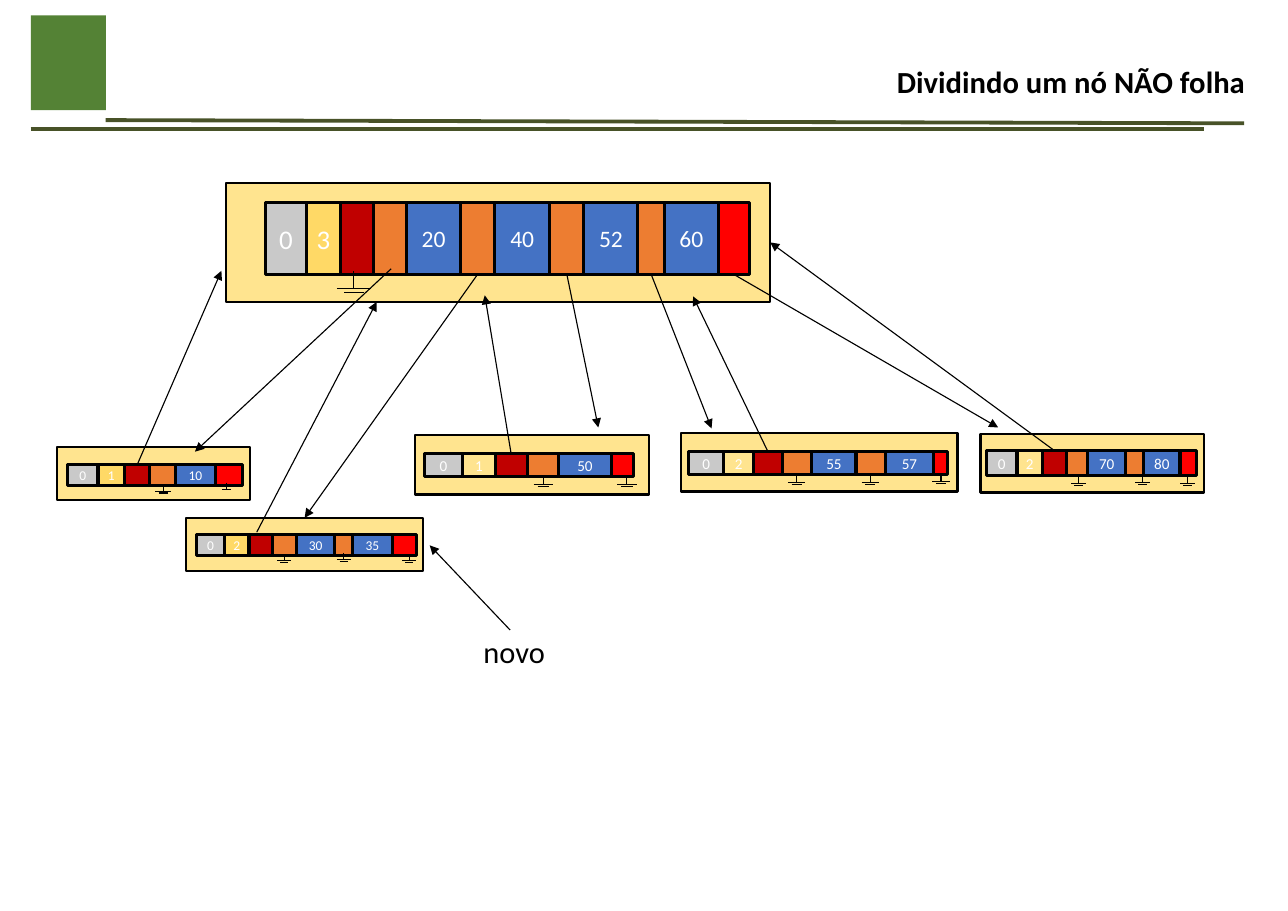
from lxml import etree
from pptx import Presentation
from pptx import util as u
from pptx.dml import color
from pptx.enum import shapes, text
from pptx.oxml import ns

FILLS = {"g": "C9C9C9", "y": "FFD966", "c": "FFE48F", "p": "C00000",
         "o": "ED7D31", "b": "4472C4", "r": "FF0000"}
LABELED = "gycb"


def rgb(code):
    return color.RGBColor.from_string(code)


def apply(item, values):
    for name, value in values.items():
        setattr(item, name, value)


class Slide:
    font = "Calibri"
    ink = "000000"

    def __init__(self, deck):
        self.page = deck.slides.add_slide(deck.slide_layouts[6])

    def letter(self, shape, words, size, tint, align, bold=False, inset=(0, 0),
               wrap=False, space=1.0):
        frame = shape.text_frame
        side, edge = (u.Pt(n) for n in inset)
        apply(frame, {"word_wrap": wrap, "vertical_anchor": text.MSO_ANCHOR.MIDDLE,
                      "margin_left": side, "margin_right": side,
                      "margin_top": edge, "margin_bottom": edge})
        para = frame.paragraphs[0]
        apply(para, {"alignment": align, "line_spacing": space})
        run = para.add_run()
        run.text = words
        apply(run.font, {"name": self.font, "size": u.Pt(size), "bold": bold})
        run.font.color.rgb = rgb(tint)

    def rect(self, box, fill, width=None):
        shape = self.page.shapes.add_shape(
            shapes.MSO_SHAPE.RECTANGLE, *(u.Pt(n) for n in box))
        shape.shadow.inherit = False
        shape.fill.solid()
        shape.fill.fore_color.rgb = rgb(fill)
        if width:
            shape.line.color.rgb = rgb(self.ink)
            shape.line.width = u.Pt(width)
        else:
            shape.line.fill.background()
        return shape

    def label(self, box, words, size, align, **style):
        shape = self.page.shapes.add_textbox(*(u.Pt(n) for n in box))
        self.letter(shape, words, size, self.ink, align, **style)

    def line(self, start, end, width=0.75, tint=ink):
        link = self.page.shapes.add_connector(
            shapes.MSO_CONNECTOR.STRAIGHT, *(u.Pt(n) for n in (*start, *end)))
        link.line.color.rgb = rgb(tint)
        link.line.width = u.Pt(width)
        etree.SubElement(link._element.spPr, ns.qn("a:effectLst"))
        return link

    def arrow(self, start, end, tail=None, head=None):
        """tail and head are (shape, side) pairs to join."""
        link = self.line(start, end)
        if tail:
            link.begin_connect(*tail)
        if head:
            link.end_connect(*head)
        outline = link._element.spPr.find(ns.qn("a:ln"))
        tip = etree.SubElement(outline, ns.qn("a:tailEnd"))
        tip.set("type", "triangle")

    def ground(self, x, y, stem, wide, bars=(1, 0.58)):
        self.line((x, y), (x, y + stem))
        for step, part in enumerate(bars):
            level = y + stem * (1 + 0.27 * step)
            half = wide * part / 2
            self.line((x - half, level), (x + half, level))

    def node(self, box, row, kinds, edges, values, sizes):
        """Frame and its cells, each cell spanning two adjacent edges."""
        frame = self.rect(box, "FFE48F", 1.5)
        top, height = row
        words = iter(values)
        cells = []
        for kind, left, right in zip(kinds, edges, edges[1:]):
            cell = self.rect((left, top, right - left, height), FILLS[kind], 2)
            if kind in LABELED:
                size = sizes[kind == "b"]
                self.letter(cell, next(words), size, "FFFFFF", text.PP_ALIGN.CENTER)
            cells.append(cell)
        return frame, cells


def main():
    deck = Presentation()
    deck.slide_width, deck.slide_height = u.Pt(841.7), u.Pt(595.4)
    s = Slide(deck)

    # Header: plain block, rules and title
    s.rect((20.2, 10, 49, 62), "548235")
    s.line((69, 78.5), (813, 80.6), 2.5, "485228")
    s.line((20, 84.2), (787, 84.2), 2.5, "485228")
    s.label((435.6, 35.3, 386, 38.9), "Dividindo um nó NÃO folha", 20,
            text.PP_ALIGN.RIGHT, bold=True, inset=(7.9, 4.3), wrap=True, space=0.9)

    # Tree nodes
    root, top = s.node(
        (147.6, 119.5, 355.7, 77.8), (132.5, 46.8), "gypobobobobr",
        (173.5, 200.2, 222.5, 244, 265.7, 301, 323.3, 359.3, 381.6, 416.9,
         434.2, 469.4, 489.6),
        ("0", "3", "20", "40", "52", "60"), (17.6, 15.4))
    _, ten = s.node(
        (37.4, 292.3, 126, 34.6), (303.8, 13.7), "gypobr",
        (43.9, 64.1, 81.4, 97.9, 114.5, 141.1, 158.4),
        ("0", "1", "10"), (8.8, 8.8))
    fresh, _ = s.node(
        (121.7, 338.4, 154.8, 34.6), (349.2, 13.7), "gypobobr",
        (128.2, 146.9, 162.7, 177.8, 193.7, 218.9, 230.4, 256.3, 272.2),
        ("0", "2", "30", "35"), (8.8, 8.8))
    _, fifty = s.node(
        (271.4, 284.4, 152.6, 38.9), (296.6, 15.1), "gcpobr",
        (277.2, 302.4, 323.6, 344.5, 365, 399.6, 414),
        ("0", "1", "50"), (9.9, 9.9))
    _, mid = s.node(
        (445, 283, 180.7, 38.2), (295.2, 15.1), "gcpobobr",
        (450, 473, 492.5, 511.2, 530.6, 559.4, 578.9, 609.8, 619.2),
        ("0", "2", "55", "57"), (9.9, 9.9))
    _, last = s.node(
        (640.8, 283.7, 146.2, 38.2), (294.5, 16.6), "gcpobobr",
        (644.4, 664.6, 681.1, 697, 710.6, 735.8, 747.4, 771.1, 781.9),
        ("0", "2", "70", "80"), (9.9, 9.9))

    # Null pointers
    for stem, wide, spots in (
            (11.2, 22.3, ((231.3, 177.1),)),
            (4.3, 10, ((106.6, 316.8),)),
            (4.3, 9, ((185.8, 362.2), (224.6, 361.4), (267.5, 362.2))),
            (5, 12.6, ((355, 311.8), (409.7, 311.8))),
            (4.5, 11.5, ((520.6, 310.8), (568.8, 310.8), (614.9, 310.3))),
            (5, 9.7, ((704.9, 311), (746.6, 310.3), (776.2, 311)))):
        for x, y in spots:
            s.ground(x, y, stem, wide)
    s.ground(148.3, 315.4, 4.7, 5.8, bars=(1,))

    # Pointers down to the children
    s.arrow((255.6, 175.7), (127.4, 295.2))
    s.arrow((312, 179), (199.4, 338.4), (top[5], 2), (fresh, 0))
    s.arrow((370, 179), (391, 279.4), (top[7], 2))
    s.arrow((426, 179), (465, 280), (top[9], 2))
    s.arrow((479, 179), (652.3, 279.4), (top[11], 2))

    # Pointers up to the parent
    s.arrow((90, 304), (144.7, 177), (ten[2], 0))
    s.arrow((167.8, 347.8), (246.2, 197.3))
    s.arrow((334, 297), (316.8, 193), (fifty[2], 0))
    s.arrow((502, 295), (452.9, 193.7), (mid[2], 0))
    s.arrow((689, 294.5), (503.3, 158.4), (last[2], 0), (root, 3))

    # Note on the new node
    s.arrow((333.4, 411.8), (280.8, 356.4))
    s.label((308.9, 409.7, 54.7, 31.7), "novo", 19.9, text.PP_ALIGN.LEFT,
            inset=(7.2, 3.6))

    deck.save("out.pptx")


if __name__ == "__main__":
    main()
